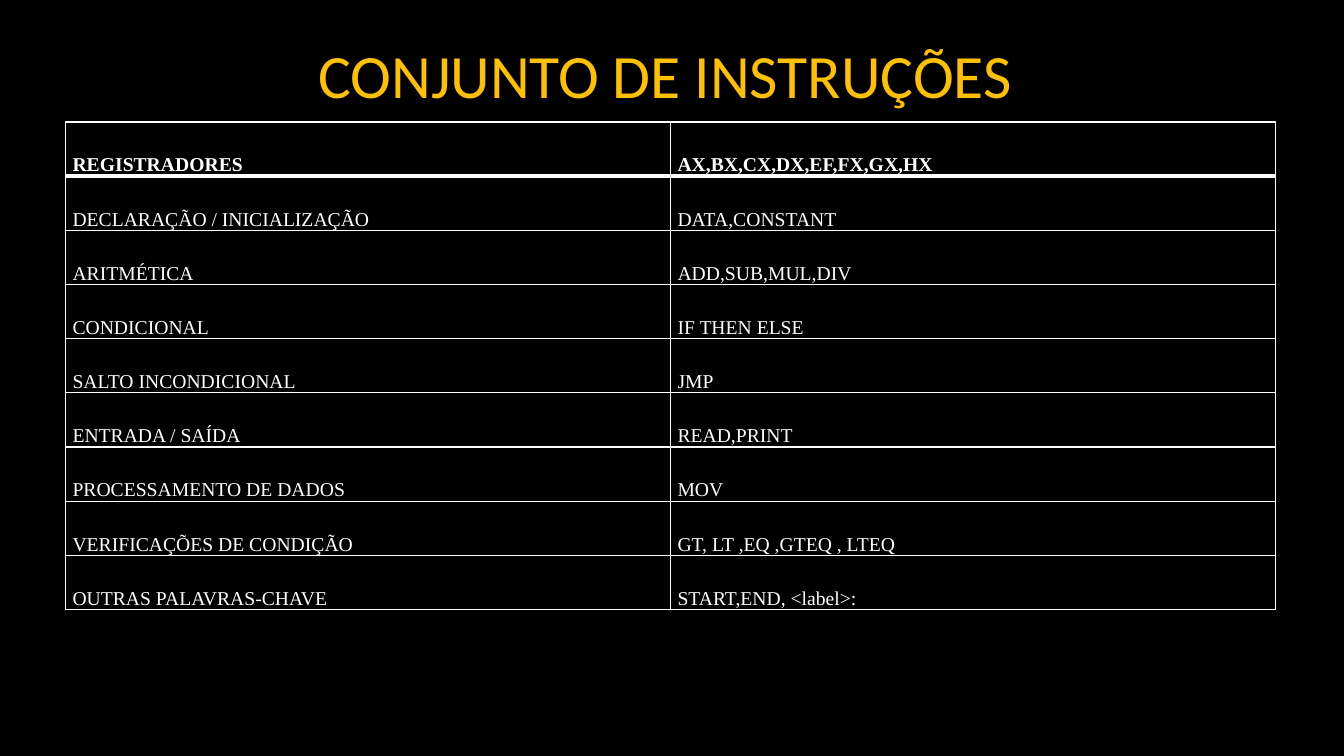
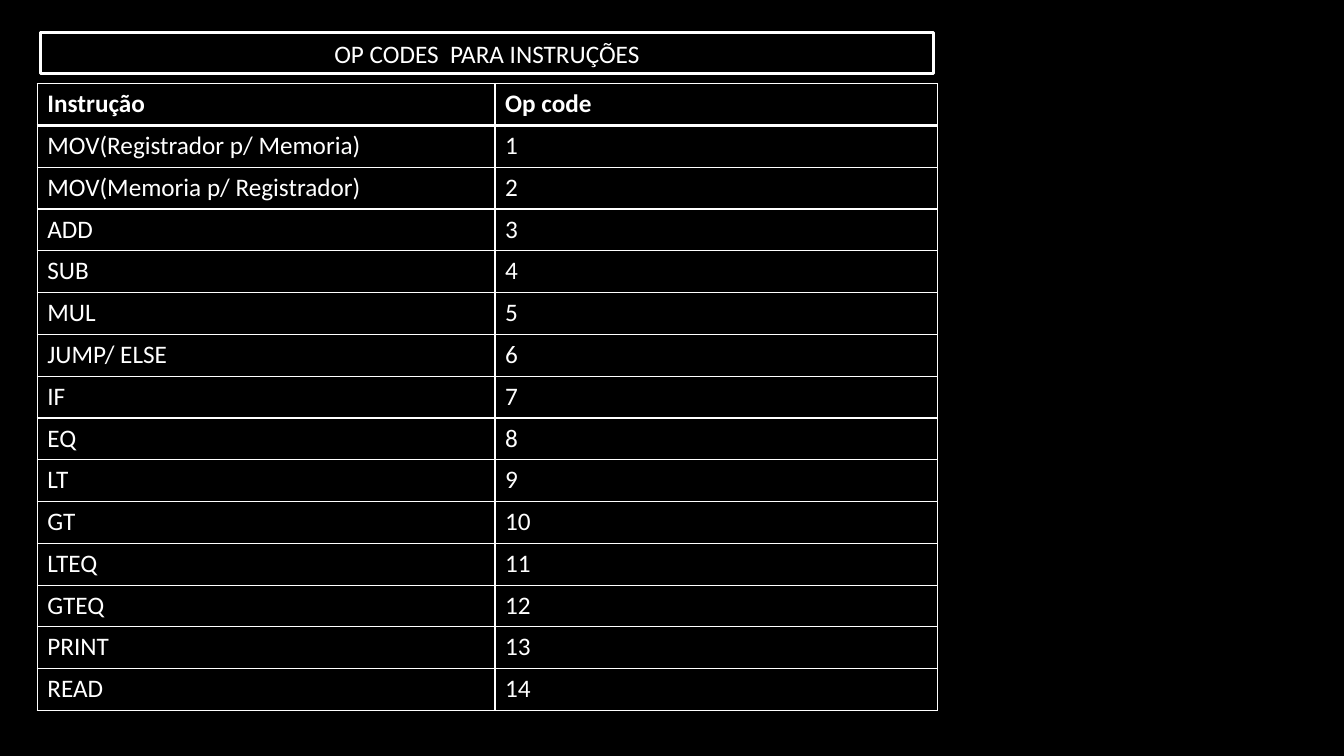
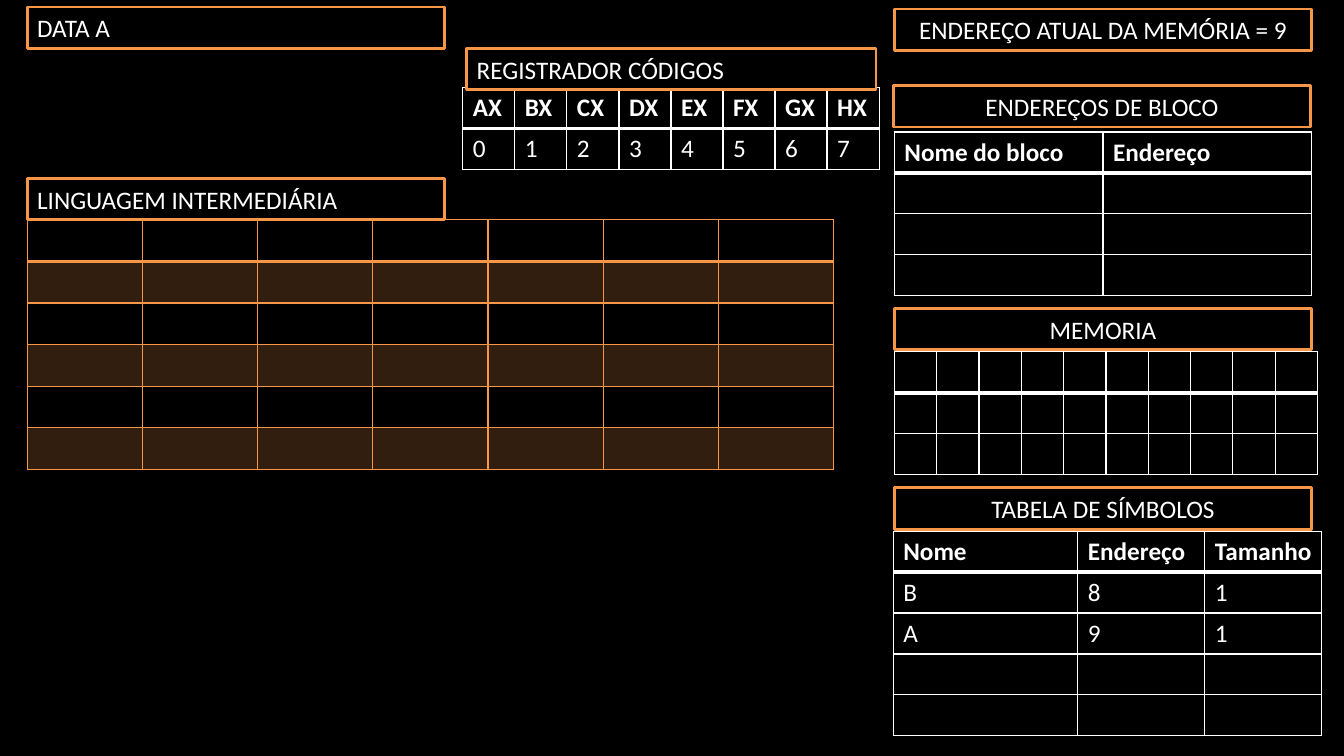
from lxml.etree import SubElement
from pptx import Presentation
from pptx.dml.color import RGBColor
from pptx.enum.shapes import MSO_SHAPE
from pptx.enum.text import MSO_ANCHOR, PP_ALIGN
from pptx.oxml.ns import qn
from pptx.util import Inches, Pt

BLACK = RGBColor(0x00, 0x00, 0x00)
WHITE = RGBColor(0xFF, 0xFF, 0xFF)
GOLD = RGBColor(0xFF, 0xC0, 0x00)
ORANGE = RGBColor(0xF7, 0x96, 0x46)
BODY_FONT = "Calibri"
SERIF_FONT = "Times New Roman"
BODY_SIZE = 18
LABEL_HEIGHT = 0.41
PANEL_LEFT, PANEL_WIDTH = 8.87, 4.14
BAND_OPACITY = 20


class SlideBuilder:
    """Holds the deck style and draws on the current slide."""

    def __init__(self):
        """Start a wide deck."""
        self.deck = Presentation()
        self.deck.slide_width = Inches(13.33)
        self.deck.slide_height = Inches(7.5)
        self.page = None

    def new_page(self):
        """Add a blank black slide and make it current."""
        self.page = self.deck.slides.add_slide(self.deck.slide_layouts[6])
        self.page.background.fill.solid()
        self.page.background.fill.fore_color.rgb = BLACK

    def add_text(self, frame, text, size=BODY_SIZE, color=WHITE,
                 font=BODY_FONT, bold=False, align=PP_ALIGN.LEFT):
        """Put one styled run into the first paragraph of a text frame."""
        para = frame.paragraphs[0]
        para.alignment = align
        span = para.add_run()
        span.text = text
        span.font.name = font
        span.font.size = Pt(size)
        span.font.bold = bold
        span.font.color.rgb = color

    def title(self, text):
        """Add the large centred heading."""
        box = self.page.shapes.add_textbox(
            Inches(0.67), Inches(0.3), Inches(12), Inches(0.86))
        frame = box.text_frame
        frame.word_wrap = True
        frame.vertical_anchor = MSO_ANCHOR.MIDDLE
        self.add_text(frame, text, 44, GOLD, align=PP_ALIGN.CENTER)

    def label(self, text, left, top, width=PANEL_WIDTH, outline=ORANGE,
              align=PP_ALIGN.CENTER):
        """Add an outlined caption bar."""
        box = self.page.shapes.add_shape(
            MSO_SHAPE.RECTANGLE, Inches(left), Inches(top),
            Inches(width), Inches(LABEL_HEIGHT))
        box.shadow.inherit = False
        box.fill.solid()
        box.fill.fore_color.rgb = BLACK
        box.line.color.rgb = outline
        box.line.width = Pt(2)
        frame = box.text_frame
        frame.word_wrap = True
        frame.vertical_anchor = MSO_ANCHOR.MIDDLE
        self.add_text(frame, text, align=align)

    def borders(self, cell, color, top, bottom):
        """Draw the four cell borders, with given top and bottom weights."""
        properties = cell._tc.get_or_add_tcPr()
        for side, weight in (("L", 1), ("R", 1), ("T", top), ("B", bottom)):
            line = SubElement(properties, qn(f"a:ln{side}"), w=str(Pt(weight)))
            fill = SubElement(line, qn("a:solidFill"))
            SubElement(fill, qn("a:srgbClr"), val=str(color))

    def band(self, cell):
        """Fill a cell with translucent orange."""
        cell.fill.solid()
        cell.fill.fore_color.rgb = ORANGE
        color = cell._tc.tcPr.find(qn("a:solidFill"))[0]
        SubElement(color, qn("a:alpha"), val=str(BAND_OPACITY * 1000))

    def table(self, left, top, height, widths, rows, line=WHITE,
              header_line=3, banded=False, compact=False):
        """Add a ruled table with equal rows and a bold first row."""
        grid = self.page.shapes.add_table(
            len(rows), len(widths), Inches(left), Inches(top),
            Inches(sum(widths)), Inches(height)).table
        grid.first_row = grid.horz_banding = False
        for column, width in zip(grid.columns, widths):
            column.width = Inches(width)
        for row_index, row in enumerate(rows):
            grid.rows[row_index].height = Inches(height / len(rows))
            for column_index, text in enumerate(row):
                cell = grid.cell(row_index, column_index)
                self.borders(cell, line,
                             header_line if row_index == 1 else 1,
                             header_line if row_index == 0 else 1)
                if not banded:
                    cell.fill.solid()
                    cell.fill.fore_color.rgb = BLACK
                elif row_index % 2:
                    self.band(cell)
                else:
                    cell.fill.background()
                style = {"bold": row_index == 0}
                if compact:
                    cell.margin_left = cell.margin_right = Inches(0.07)
                    cell.margin_top = cell.margin_bottom = 0
                    cell.vertical_anchor = MSO_ANCHOR.BOTTOM
                    style.update(size=14, font=SERIF_FONT,
                                 align=PP_ALIGN.JUSTIFY)
                if text:
                    self.add_text(cell.text_frame, text, **style)


def blank_rows(count, columns):
    """Return rows of empty cells."""
    return [[""] * columns for _ in range(count)]


def instruction_set(builder):
    """Build the slide that lists the instruction set."""
    builder.new_page()
    builder.title("CONJUNTO DE INSTRUÇÕES ")
    builder.table(0.65, 1.21, 4.84, [6, 6], [
        ("REGISTRADORES", "AX,BX,CX,DX,EF,FX,GX,HX"),
        ("DECLARAÇÃO / INICIALIZAÇÃO", "DATA,CONSTANT"),
        ("ARITMÉTICA", "ADD,SUB,MUL,DIV"),
        ("CONDICIONAL", "IF THEN ELSE"),
        ("SALTO INCONDICIONAL", "JMP"),
        ("ENTRADA / SAÍDA", "READ,PRINT"),
        ("PROCESSAMENTO DE DADOS", "MOV"),
        ("VERIFICAÇÕES DE CONDIÇÃO", "GT, LT ,EQ ,GTEQ , LTEQ"),
        ("OUTRAS PALAVRAS-CHAVE", "START,END, <label>:"),
    ], compact=True)


def operation_codes(builder):
    """Build the slide that numbers the instructions."""
    instructions = ["MOV(Registrador p/ Memoria)",
                    "MOV(Memoria p/ Registrador)",
                    "ADD", "SUB", "MUL", "JUMP/ ELSE", "IF", "EQ", "LT",
                    "GT", "LTEQ", "GTEQ", "PRINT", "READ"]
    codes = [(name, str(code)) for code, name in enumerate(instructions, 1)]
    builder.new_page()
    builder.table(0.37, 0.83, 6.22, [4.54, 4.39],
                  [("Instrução", "Op code")] + codes)
    builder.label("OP CODES  PARA INSTRUÇÕES", 0.4, 0.32, 8.86, WHITE)


def memory_state(builder):
    """Build the slide that shows the compiler tables and memory."""
    registers = ["AX", "BX", "CX", "DX", "EX", "FX", "GX", "HX"]
    builder.new_page()
    builder.table(PANEL_LEFT, 3.49, 1.22, [0.42] * 10, blank_rows(3, 10))
    builder.label("MEMORIA", PANEL_LEFT, 3.06)
    builder.table(8.86, 5.27, 2.03, [1.83, 1.26, 1.16], [
        ("Nome", "Endereço", "Tamanho"),
        ("B", "8", "1"),
        ("A", "9", "1"),
    ] + blank_rows(2, 3))
    builder.label("TABELA DE SÍMBOLOS", PANEL_LEFT, 4.84)
    builder.table(0.27, 2.18, 2.48, [8 / 7] * 7, blank_rows(6, 7),
                  line=ORANGE, header_line=2, banded=True)
    builder.table(PANEL_LEFT, 1.31, 1.62, [PANEL_WIDTH / 2] * 2,
                  [("Nome do bloco", "Endereço")] + blank_rows(3, 2))
    builder.label("ENDEREÇOS DE BLOCO", 8.86, 0.85)
    builder.label("DATA A", 0.27, 0.07, align=PP_ALIGN.LEFT)
    builder.label("ENDEREÇO ATUAL DA MEMÓRIA = 9", PANEL_LEFT, 0.09)
    builder.label("LINGUAGEM INTERMEDIÁRIA", 0.27, 1.77, align=PP_ALIGN.LEFT)
    builder.table(4.59, 0.87, 0.81, [4.13 / 8] * 8,
                  [registers, [str(code) for code in range(8)]])
    builder.label("REGISTRADOR CÓDIGOS", 4.63, 0.48, 4.06,
                  align=PP_ALIGN.LEFT)


def main():
    """Build and save the deck."""
    builder = SlideBuilder()
    instruction_set(builder)
    operation_codes(builder)
    memory_state(builder)
    builder.deck.save("out.pptx")


main()
